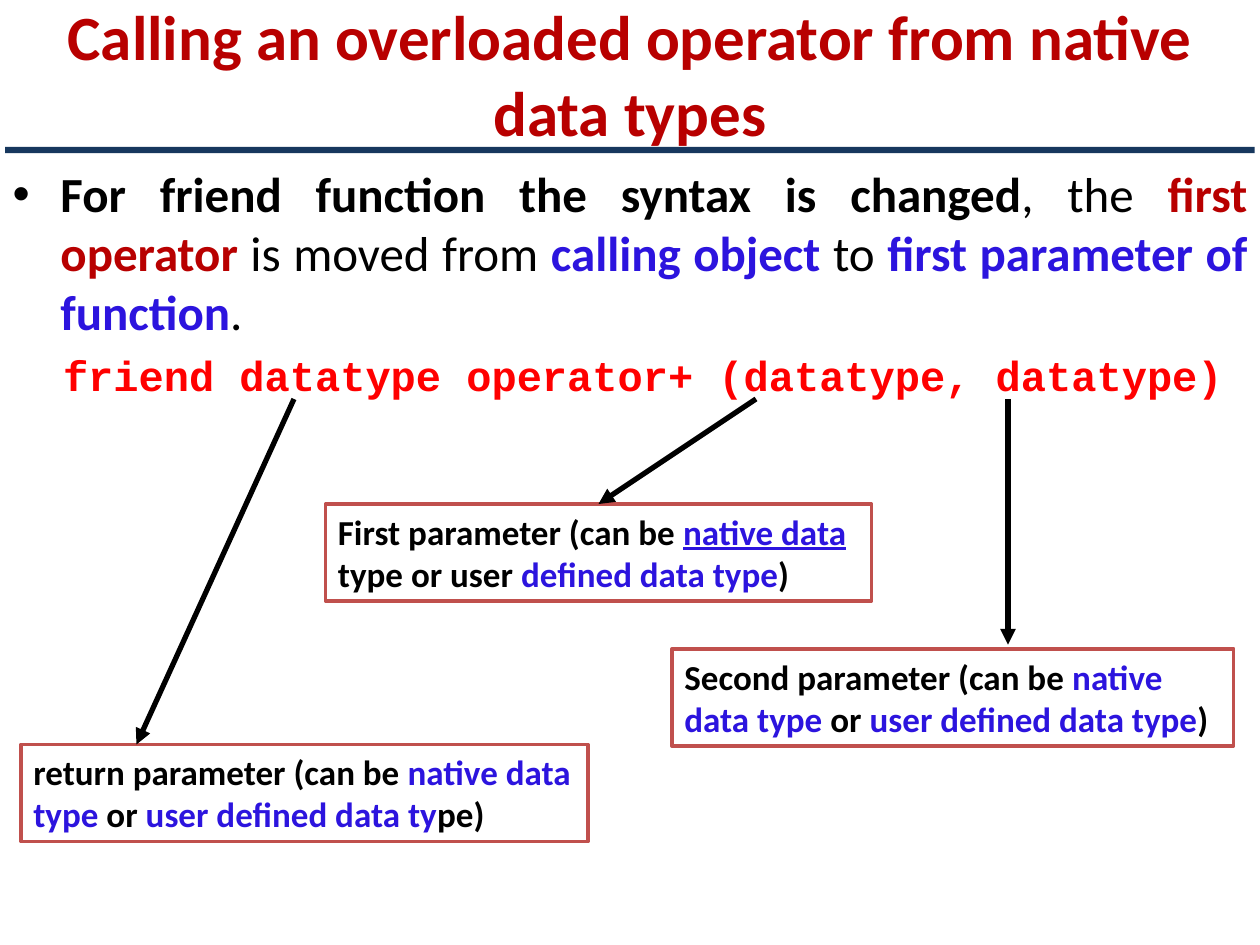
from pptx import Presentation
from pptx.dml.color import RGBColor
from pptx.enum.shapes import MSO_CONNECTOR as CONN, MSO_SHAPE as SHAPE
from pptx.enum.text import MSO_ANCHOR as ANCHOR, MSO_AUTO_SIZE as FIT, PP_ALIGN as ALIGN
from pptx.oxml.ns import qn
from pptx.util import Inches, Pt
from lxml import etree

COLORS = {
    "white": "FFFFFF", "black": "000000", "crimson": "B80000", "violet": "2C14DE",
    "code": "FF0000", "border": "C0504D", "rule": "17375E",
}
CELL = Inches(10) / 120  # the slide is a grid of 120 columns by 90 rows


def rgb(name):
    return RGBColor.from_string(COLORS[name])


def grid(*cells):
    return [round(c * CELL) for c in cells]


def place(shape, *cells):
    shape.left, shape.top, shape.width, shape.height = grid(*cells)


def add_runs(p, runs, size, font="Calibri"):
    """Append (text, color, bold[, underline]) runs to a paragraph."""
    for text, color, bold, *underline in runs:
        r = p.add_run()
        r.text = text
        r.font.name, r.font.size, r.font.bold = font, Pt(size), bold
        r.font.color.rgb = rgb(color)
        if underline:
            r.font.underline = True


def set_indent(p, left, first):
    pPr = p._p.get_or_add_pPr()
    pPr.set("marL", str(Inches(left)))
    pPr.set("indent", str(Inches(first)))
    return pPr


def fill_title(title, text):
    place(title, 0, 0, 120, 14)
    title.fill.solid()
    title.fill.fore_color.rgb = rgb("white")
    tf = title.text_frame
    tf.auto_size, tf.vertical_anchor = FIT.NONE, ANCHOR.MIDDLE
    p = tf.paragraphs[0]
    p.alignment = ALIGN.CENTER
    add_runs(p, [(text, "crimson", True)], 36)


def fill_body(body, runs, code):
    place(body, 0, 15, 120, 74)
    tf = body.text_frame
    tf.auto_size = FIT.NONE
    p = tf.paragraphs[0]
    set_indent(p, 0.38, -0.38)
    p.alignment, p.space_before = ALIGN.JUSTIFY, Pt(0)
    add_runs(p, runs, 28)

    p = tf.add_paragraph()
    etree.SubElement(set_indent(p, 0.4, 0), qn("a:buNone"))
    p.space_before = Pt(5)
    add_runs(p, [(code, "code", True)], 24, "Courier New")


def add_rect(s, cells, fill):
    rect = s.shapes.add_shape(SHAPE.RECTANGLE, *grid(*cells))
    rect.shadow.inherit = False
    rect.fill.solid()
    rect.fill.fore_color.rgb = rgb(fill)
    rect.line.fill.background()
    return rect


def add_note(s, left, top, width, runs):
    note = add_rect(s, (left, top, width, 9.25), "white")
    note.line.color.rgb = rgb("border")
    note.line.width = Pt(2)
    tf = note.text_frame
    tf.word_wrap, tf.vertical_anchor = True, ANCHOR.TOP
    p = tf.paragraphs[0]
    p.alignment = ALIGN.LEFT
    add_runs(p, runs, 20)
    return note


def add_arrow(s, start, end):
    arrow = s.shapes.add_connector(CONN.STRAIGHT, *grid(*start, *end))
    arrow.line.color.rgb = rgb("black")
    arrow.line.width = Pt(3)
    etree.SubElement(arrow.line._get_or_add_ln(), qn("a:tailEnd"), type="triangle")
    etree.SubElement(arrow._element.spPr, qn("a:effectLst"))
    return arrow


def main():
    prs = Presentation()
    prs.slide_width, prs.slide_height = Inches(10), Inches(7.5)
    s = prs.slides.add_slide(prs.slide_layouts[1])

    fill_title(s.shapes.title, "Calling an overloaded operator from native data types")
    fill_body(s.placeholders[1], [
        ("For friend function the syntax is changed", "black", True),
        (", the ", "black", False),
        ("first operator", "crimson", True),
        (" is moved from ", "black", False),
        ("calling object ", "violet", True),
        ("to ", "black", False),
        ("first parameter of function", "violet", True),
        (".", "black", False),
    ], "friend datatype operator+ (datatype, datatype)")
    add_rect(s, (0.5, 14, 119, 0.6), "rule")

    add_note(s, 2, 70.9, 54, [
        ("return parameter (can be ", "black", True),
        ("native data type", "violet", True),
        (" or ", "black", True),
        ("user defined data ty", "violet", True),
        ("pe)", "black", True),
    ])
    add_note(s, 64, 61.8, 53.5, [
        ("Second parameter (can be ", "black", True),
        ("native data type", "violet", True),
        (" or ", "black", True),
        ("user defined data type", "violet", True),
        (")", "black", True),
    ])
    first_note = add_note(s, 31, 48, 52, [
        ("First parameter (can be ", "black", True),
        ("native data ", "violet", True, True),
        ("type or user ", "black", True),
        ("defined data type", "violet", True),
        (")", "black", True),
    ])

    code_bottom = 38
    add_arrow(s, (28, code_bottom), (13, 70.9))
    add_arrow(s, (96, code_bottom), (96, 61.4))
    add_arrow(s, (72, code_bottom), (57, 48)).end_connect(first_note, 0)

    prs.save("out.pptx")


if __name__ == "__main__":
    main()
